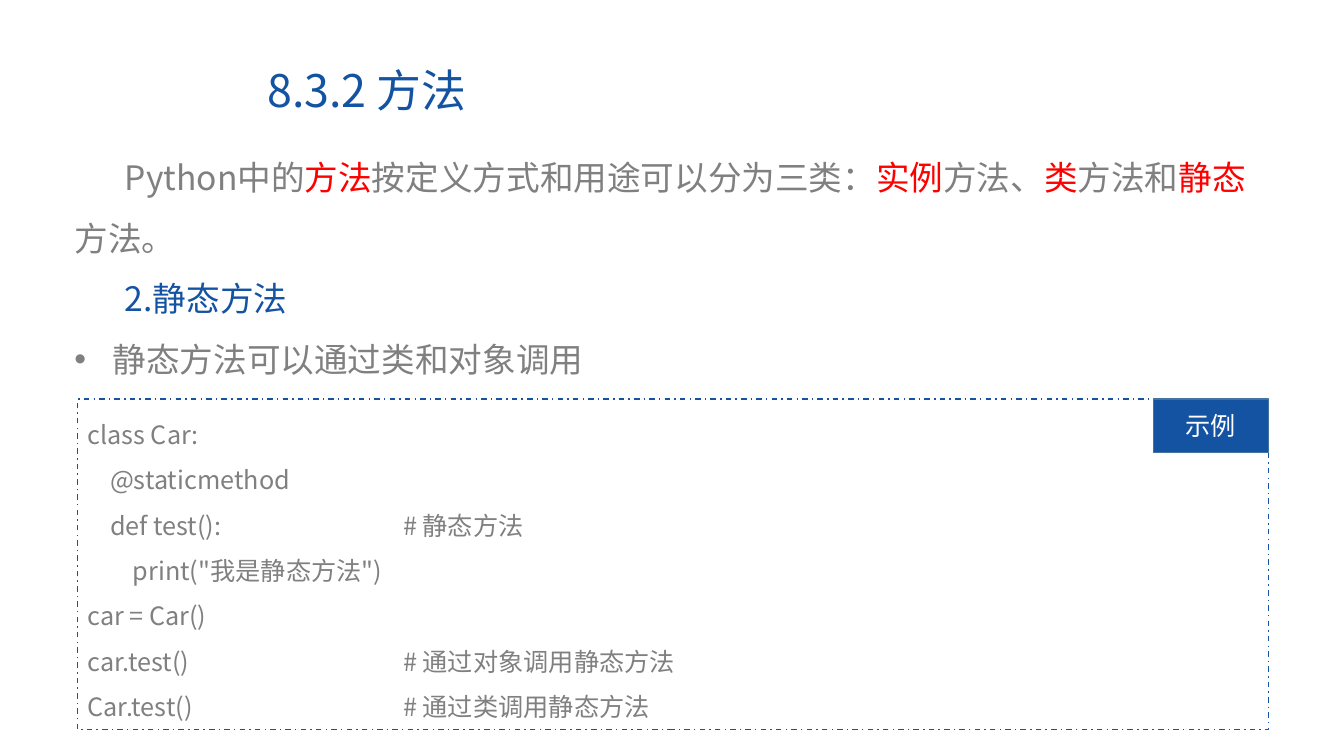
"""Build the slide on static methods in Python classes."""
from lxml.etree import SubElement
from pptx import Presentation
from pptx.dml.color import RGBColor
from pptx.enum.dml import MSO_LINE
from pptx.enum.shapes import MSO_SHAPE as SHAPE
from pptx.enum.text import MSO_ANCHOR as ANCHOR, PP_ALIGN as ALIGN
from pptx.oxml.ns import qn
from pptx.util import Inches, Pt

FONT = "Noto Sans CJK SC"
BLUE = RGBColor(0x13, 0x53, 0xA2)
EDGE = RGBColor(0x43, 0x73, 0x9E)
GRAY = RGBColor(0x80, 0x80, 0x80)
RED = RGBColor(0xFF, 0x00, 0x00)
WHITE = RGBColor(0xFF, 0xFF, 0xFF)


def add_run(paragraph, text, size, color):
    run = paragraph.add_run()
    run.text = text
    run.font.size = Pt(size)
    run.font.bold = False
    run.font.color.rgb = color
    run.font.name = FONT
    SubElement(run.font._element, qn("a:ea"), typeface=FONT)


def add_paragraph(frame, index):
    paragraph = frame.add_paragraph() if index else frame.paragraphs[0]
    paragraph.alignment = ALIGN.LEFT
    paragraph.line_spacing = 1.5
    return paragraph


prs = Presentation()
prs.slide_width, prs.slide_height = Inches(13.33), Inches(7.5)
slide = prs.slides.add_slide(prs.slide_layouts[5])

title = slide.shapes.title
title.left, title.top = Inches(2.55), Inches(0.63)
title.width, title.height = Inches(9.14), Inches(0.59)
title.text_frame.vertical_anchor = ANCHOR.MIDDLE
heading = title.text_frame.paragraphs[0]
heading.alignment = ALIGN.LEFT
heading.line_spacing = 0.9
add_run(heading, "8.3.2 方法", 32, BLUE)

intro = slide.shapes.add_textbox(Inches(0.64), Inches(1.31), Inches(12.06), Inches(2.52)).text_frame
intro.word_wrap = True
intro_paragraphs = [
    (0, 0.5, [("Python中的", GRAY), ("方法", RED), ("按定义方式和用途可以分为三类：", GRAY),
              ("实例", RED), ("方法、", GRAY), ("类", RED), ("方法和", GRAY),
              ("静态", RED), ("方法。", GRAY)]),
    (0, 0.5, [("2.静态方法", BLUE)]),
    (0.38, -0.38, [("静态方法可以通过类和对象调用", GRAY)]),
]
for index, (margin, indent, pieces) in enumerate(intro_paragraphs):
    paragraph = add_paragraph(intro, index)
    properties = paragraph._p.get_or_add_pPr()
    properties.set("marL", str(Inches(margin)))
    properties.set("indent", str(Inches(indent)))
    if indent < 0:
        SubElement(properties, qn("a:buFont"), typeface="Arial")
        SubElement(properties, qn("a:buChar"), char="•")
    for text, color in pieces:
        add_run(paragraph, text, 24, color)

example = slide.shapes.add_group_shape()
code = example.shapes.add_shape(SHAPE.RECTANGLE, Inches(0.77), Inches(3.96), Inches(11.81), Inches(3.28))
code.shadow.inherit = False
code.fill.background()
code.line.color.rgb = BLUE
code.line.width = Pt(1)
code.line.dash_style = MSO_LINE.DASH_DOT
code.text_frame.word_wrap = True
code.text_frame.vertical_anchor = ANCHOR.TOP
code_lines = [
    "class Car:",
    "    @staticmethod",
    "    def test():\t# 静态方法",
    "        print(\"我是静态方法\")",
    "car = Car()",
    "car.test()\t# 通过对象调用静态方法",
    "Car.test()\t# 通过类调用静态方法",
]
for index, code_line in enumerate(code_lines):
    paragraph = add_paragraph(code.text_frame, index)
    if "\t" in code_line:
        tabs = SubElement(paragraph._p.get_or_add_pPr(), qn("a:tabLst"))
        SubElement(tabs, qn("a:tab"), pos=str(Inches(3.13)), algn="l")
    add_run(paragraph, code_line, 18, GRAY)

tag = example.shapes.add_shape(SHAPE.RECTANGLE, Inches(11.44), Inches(3.96), Inches(1.14), Inches(0.53))
tag.shadow.inherit = False
tag.fill.solid()
tag.fill.fore_color.rgb = BLUE
tag.line.color.rgb = EDGE
tag.line.width = Pt(1)
tag.text_frame.vertical_anchor = ANCHOR.MIDDLE
tag_label = tag.text_frame.paragraphs[0]
tag_label.alignment = ALIGN.CENTER
add_run(tag_label, "示例", 18, WHITE)

prs.save("out.pptx")
